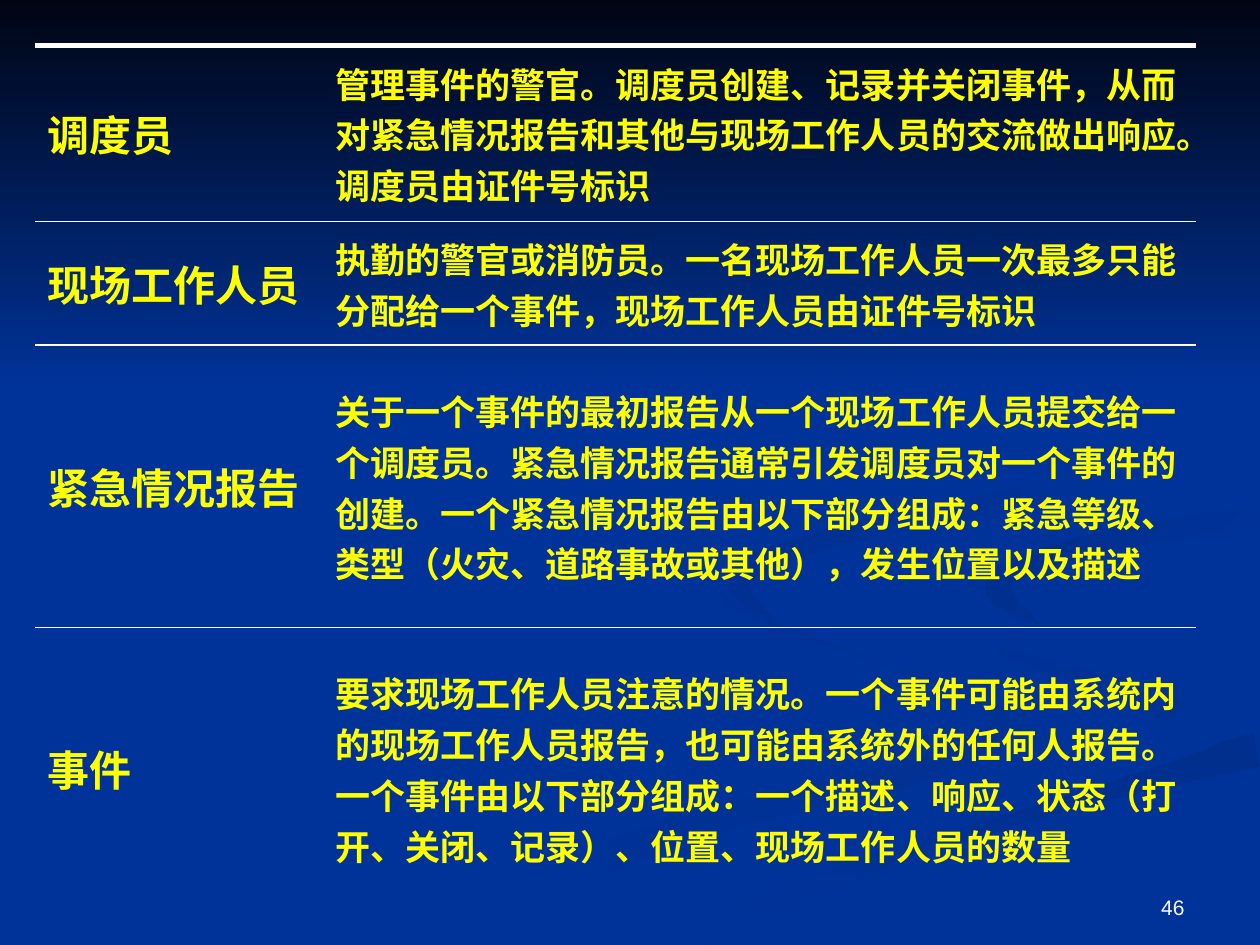
"""Build a glossary slide: a four-row table of terms over a blue swoosh background."""
import math

from lxml import etree
from pptx import Presentation
from pptx import util as u
from pptx.dml.color import RGBColor
from pptx.enum import shapes, text
from pptx.oxml import ns

NAVY = RGBColor(0x00, 0x05, 0x14)
BLUE = RGBColor(0x00, 0x33, 0x99)
SHADE = RGBColor(0x00, 0x2F, 0x8D)
SOFT_SHADE = RGBColor(0x00, 0x31, 0x93)
YELLOW = RGBColor(0xFF, 0xFF, 0x00)
WHITE = RGBColor(0xFF, 0xFF, 0xFF)

COLUMNS, ROWS = 10, 7.5
GRID = u.Inches(1)
POINTS_PER_GRID = 1000
STEPS_PER_SPAN = 6


def add_run(paragraph, words, size, font_name, color, bold=False):
    """Add one formatted run of Chinese text."""
    run = paragraph.add_run()
    run.text = words
    run.font.size = u.Pt(size)
    run.font.name = font_name
    run.font.bold = bold
    run.font.color.rgb = color
    run.font._element.set("lang", "zh-CN")


def ribbon_outline(spine):
    """Smooth (x, y, thickness) stations by a Catmull-Rom curve and return both edges."""
    padded = [spine[0], *spine, spine[-1]]
    samples = []
    for stations in zip(padded, padded[1:], padded[2:], padded[3:]):
        for step in range(STEPS_PER_SPAN):
            t = step / STEPS_PER_SPAN
            samples.append([
                b + ((c - a) * t + (2 * a - 5 * b + 4 * c - d) * t ** 2
                     + (3 * b - a - 3 * c + d) * t ** 3) / 2
                for a, b, c, d in zip(*stations)])
    samples.append(spine[-1])
    upper, lower = [], []
    for index, (x, y, thickness) in enumerate(samples):
        before = samples[max(index - 1, 0)]
        after = samples[min(index + 1, len(samples) - 1)]
        direction = math.atan2(after[1] - before[1], after[0] - before[0])
        half = max(thickness, 0) / 2
        for edge, offset in ((upper, half), (lower, -half)):
            edge_x = min(x - offset * math.sin(direction), COLUMNS)
            edge_y = min(y + offset * math.cos(direction), ROWS)
            edge.append((round(edge_x * POINTS_PER_GRID), round(edge_y * POINTS_PER_GRID)))
    return upper + lower[::-1]


presentation = Presentation()
presentation.slide_width = int(COLUMNS * GRID)
presentation.slide_height = int(ROWS * GRID)
slide = presentation.slides.add_slide(presentation.slide_layouts[6])
slide.background.fill.solid()
slide.background.fill.fore_color.rgb = BLUE

lower_tail = [(5.75, 4.6, 0), (5.83, 4.82, 0.05), (6.8, 5.2, 0.02), (7.75, 5.54, 0.03),
              (7.92, 5.75, 0.14), (7.4, 6.08, 0.18), (5.6, 6.53, 0.22), (4.3, 7, 0.27),
              (3.3, 7.49, 0.3)]
inner_curl = [(7.24, 4.64, 0), (7.5, 4.97, 0.09), (8.3, 5.26, 0.13), (9.1, 5.53, 0.2),
              (9.3, 5.74, 0.25), (8.94, 6.05, 0)]
lower_sweep = [(5.37, 7.49, 0.3), (6.4, 7, 0.25), (7.8, 6.53, 0.2), (9, 6.2, 0.2),
               (9.98, 5.95, 0.28)]
main_ribbon = [(9.99, 3.94, 0.15), (8.6, 4.18, 0.15), (7.54, 4.6, 0.5), (8.2, 5.07, 0.25),
               (9.5, 5.4, 0.25), (9.7, 5.65, 0.4), (8.5, 6.2, 0.2), (6.4, 6.85, 0.2),
               (4.95, 7.49, 0.2)]
right_hook = [(9.98, 4.11, 0.18), (8.9, 4.27, 0.16), (8.1, 4.5, 0.17), (7.93, 4.7, 0.2),
              (8.26, 4.96, 0)]
upper_curl = [(7.62, 2.33, 0), (8.6, 2.87, 0.07), (8.92, 3.4, 0.07), (8.5, 3.84, 0.15),
              (6.6, 4.27, 0.14), (5.87, 4.6, 0.17), (6.22, 5, 0)]
swooshes = [
    (lower_tail, BLUE, SOFT_SHADE, 0),
    (inner_curl, BLUE, SOFT_SHADE, 45),
    (lower_sweep, SHADE, BLUE, 90),
    (main_ribbon, BLUE, BLUE, 0),
    (right_hook, SHADE, BLUE, 45),
    (upper_curl, SHADE, BLUE, 45)]

backdrop = []
for spine, first_color, last_color, angle in swooshes:
    outline = ribbon_outline(spine)
    builder = slide.shapes.build_freeform(*outline[0], scale=GRID / POINTS_PER_GRID)
    builder.add_line_segments(outline[1:], close=True)
    backdrop.append((builder.convert_to_shape(), first_color, last_color, angle))
top_band = slide.shapes.add_shape(
    shapes.MSO_SHAPE.RECTANGLE, 0, 0, presentation.slide_width, int(3.08 * GRID))
backdrop.append((top_band, NAVY, BLUE, 90))

for shape, first_color, last_color, clockwise_angle in backdrop:
    shape.shadow.inherit = False
    shape.line.fill.background()
    shape.fill.gradient()
    shape.fill.gradient_angle = -clockwise_angle % 360
    for stop, color in zip(shape.fill.gradient_stops, (first_color, last_color)):
        stop.color.rgb = color

number_box = slide.shapes.add_textbox(
    int(7.17 * GRID), int(6.83 * GRID), int(2.33 * GRID), int(0.52 * GRID))
number_box.text_frame.word_wrap = True
number_box.text_frame.vertical_anchor = text.MSO_ANCHOR.BOTTOM
number_paragraph = number_box.text_frame.paragraphs[0]
number_paragraph.alignment = text.PP_ALIGN.RIGHT
add_run(number_paragraph, "46", 12, "Arial", WHITE)

terms = [
    ("调度员", "管理事件的警官。调度员创建、记录并关闭事件，从而对紧急情况报告和其他与现场工作人员的交流做出响应。"
     "调度员由证件号标识", 1.4),
    ("现场工作人员", "执勤的警官或消防员。一名现场工作人员一次最多只能分配给一个事件，现场工作人员由证件号标识", 0.98),
    ("紧急情况报告", "关于一个事件的最初报告从一个现场工作人员提交给一个调度员。紧急情况报告通常引发调度员对一个事件的创建。"
     "一个紧急情况报告由以下部分组成：紧急等级、类型（火灾、道路事故或其他），发生位置以及描述", 2.24),
    ("事件", "要求现场工作人员注意的情况。一个事件可能由系统内的现场工作人员报告，也可能由系统外的任何人报告。"
     "一个事件由以下部分组成：一个描述、响应、状态（打开、关闭、记录）、位置、现场工作人员的数量", 2.24)]
column_widths = [2.28, 6.93]
table_height = sum(row_height for _, _, row_height in terms)
table = slide.shapes.add_table(
    len(terms), len(column_widths), int(0.28 * GRID), int(0.36 * GRID),
    int(sum(column_widths) * GRID), int(table_height * GRID)).table
table.first_row = False
table.horz_banding = False
for column, column_width in zip(table.columns, column_widths):
    column.width = int(column_width * GRID)

last_row = len(terms) - 1
for row_index, (term, definition, row_height) in enumerate(terms):
    table.rows[row_index].height = int(row_height * GRID)
    border_widths = {"L": 0, "R": 0,
                     "T": 3 if row_index == 0 else 1,
                     "B": 0 if row_index == last_row else 1}
    for column_index, (words, size) in enumerate([(term, 24), (definition, 20)]):
        cell = table.cell(row_index, column_index)
        cell.vertical_anchor = text.MSO_ANCHOR.MIDDLE
        cell.fill.background()
        add_run(cell.text_frame.paragraphs[0], words, size, "Times New Roman", YELLOW, True)
        for position, (side, width) in enumerate(border_widths.items()):
            border = etree.Element(ns.qn(f"a:ln{side}"), w=str(u.Pt(width)))
            paint = etree.SubElement(border, ns.qn("a:solidFill" if width else "a:noFill"))
            if width:
                etree.SubElement(paint, ns.qn("a:srgbClr"), val=str(WHITE))
            cell._tc.get_or_add_tcPr().insert(position, border)

presentation.save("out.pptx")
